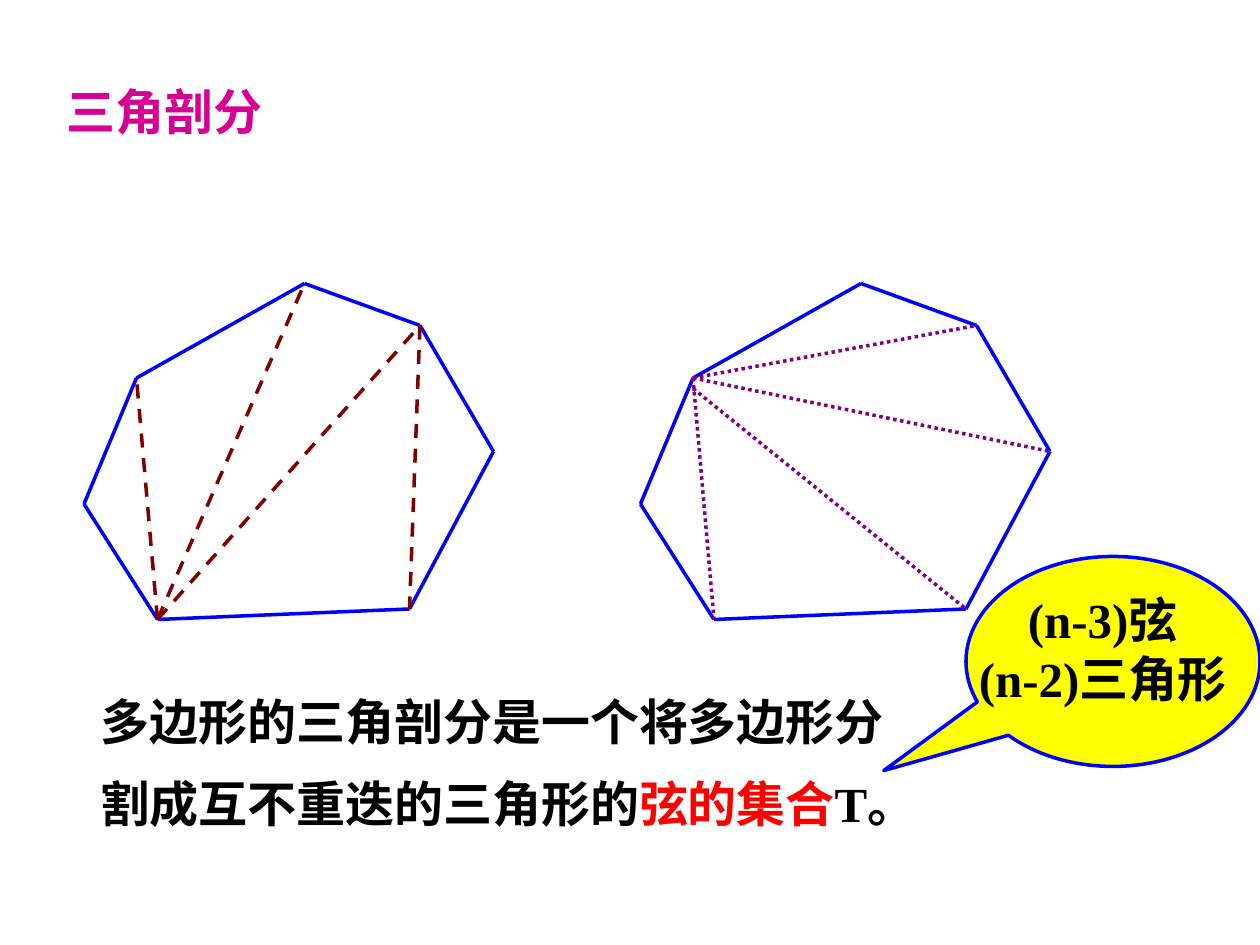
from lxml import etree
from pptx import Presentation
from pptx.dml.color import RGBColor
from pptx.enum.dml import MSO_LINE
from pptx.enum.shapes import MSO_CONNECTOR, MSO_SHAPE
from pptx.enum.text import PP_ALIGN
from pptx.oxml.ns import qn
from pptx.util import Pt

DASH, DOT = MSO_LINE.DASH, MSO_LINE.ROUND_DOT
CENTER, LEFT = PP_ALIGN.CENTER, PP_ALIGN.LEFT
STRAIGHT = MSO_CONNECTOR.STRAIGHT
BLUE, BLACK = "0000FF", "000000"
SANS, CJK, SERIF = "Arial", "Noto Sans CJK SC", "Times New Roman"

# Corners of the heptagon, clockwise from bottom left
CORNERS = [(90, 354), (48, 288), (78, 216), (174, 162),
           (240, 186), (282, 258), (234, 348)]
# Shift to the right, chord colour, chord dash, chords as (from, to, drop of start)
FIGURES = [
    (0, "800000", DASH, [(0, 2, 0), (0, 3, 0), (0, 4, 0), (4, 6, 0)]),
    (318, "800080", DOT, [(2, 5, 0), (2, 0, 0), (2, 6, 6), (2, 4, 0)]),
]
# Paragraphs as lists of (text, font, colour)
TITLE = [[("三角剖分", SANS, "D60093")]]
BODY = [
    [("多边形的三角剖分是一个将多边形分", CJK, BLACK)],
    [("割成互不重迭的三角形的", CJK, BLACK), ("弦的集合", CJK, "FF0000"),
     ("T。", SERIF, BLACK)],
]
COUNTS = [
    [("(n-3)", SERIF, BLACK), ("弦", SANS, BLACK)],
    [("(n-2)", SERIF, BLACK), ("三角形", SANS, BLACK)],
]


def rgb(code):
    return RGBColor.from_string(code)


def add_line(shapes, start, end, color, dash=None):
    line = shapes.add_connector(STRAIGHT, *map(Pt, start + end))
    line.line.color.rgb = rgb(color)
    line.line.width = Pt(2)
    if dash is not None:
        line.line.dash_style = dash
    etree.SubElement(line._element.spPr, qn("a:effectLst"))


def add_text(shapes, place, paras, align, wrap=False, space=1.0):
    frame = shapes.add_textbox(*map(Pt, place)).text_frame
    frame.word_wrap = wrap
    for i, runs in enumerate(paras):
        para = frame.paragraphs[0] if i == 0 else frame.add_paragraph()
        para.alignment = align
        para.line_spacing = space
        para.font.size = Pt(28)
        para.font.bold = True
        for text, face, color in runs:
            run = para.add_run()
            run.text = text
            run.font.name = face
            run.font.color.rgb = rgb(color)


def add_figure(shapes, shift, color, dash, chords):
    points = [(x + shift, y) for x, y in CORNERS]
    for start, end in zip(points, points[1:] + points[:1]):
        add_line(shapes, start, end, BLUE)
    for a, b, drop in chords:
        x, y = points[a]
        add_line(shapes, (x, y + drop), points[b], color, dash)


def add_callout(shapes):
    bubble = shapes.add_shape(MSO_SHAPE.OVAL_CALLOUT,
                              *map(Pt, (552, 318, 168, 120)))
    bubble.adjustments[0] = -0.78
    bubble.adjustments[1] = 0.52
    bubble.shadow.inherit = False
    bubble.fill.solid()
    bubble.fill.fore_color.rgb = rgb("FFFF00")
    bubble.line.color.rgb = rgb(BLUE)
    bubble.line.width = Pt(2)
    add_text(shapes, (551.5, 333.5, 157, 74), COUNTS, CENTER, wrap=True)


def main():
    deck = Presentation()
    deck.slide_width, deck.slide_height = Pt(720), Pt(540)
    shapes = deck.slides.add_slide(deck.slide_layouts[6]).shapes
    add_text(shapes, (30.5, 43, 126.5, 41), TITLE, CENTER)
    for figure in FIGURES:
        add_figure(shapes, *figure)
    add_text(shapes, (50.5, 378, 502, 96.5), BODY, LEFT, space=1.4)
    add_callout(shapes)
    deck.save("out.pptx")


if __name__ == "__main__":
    main()
